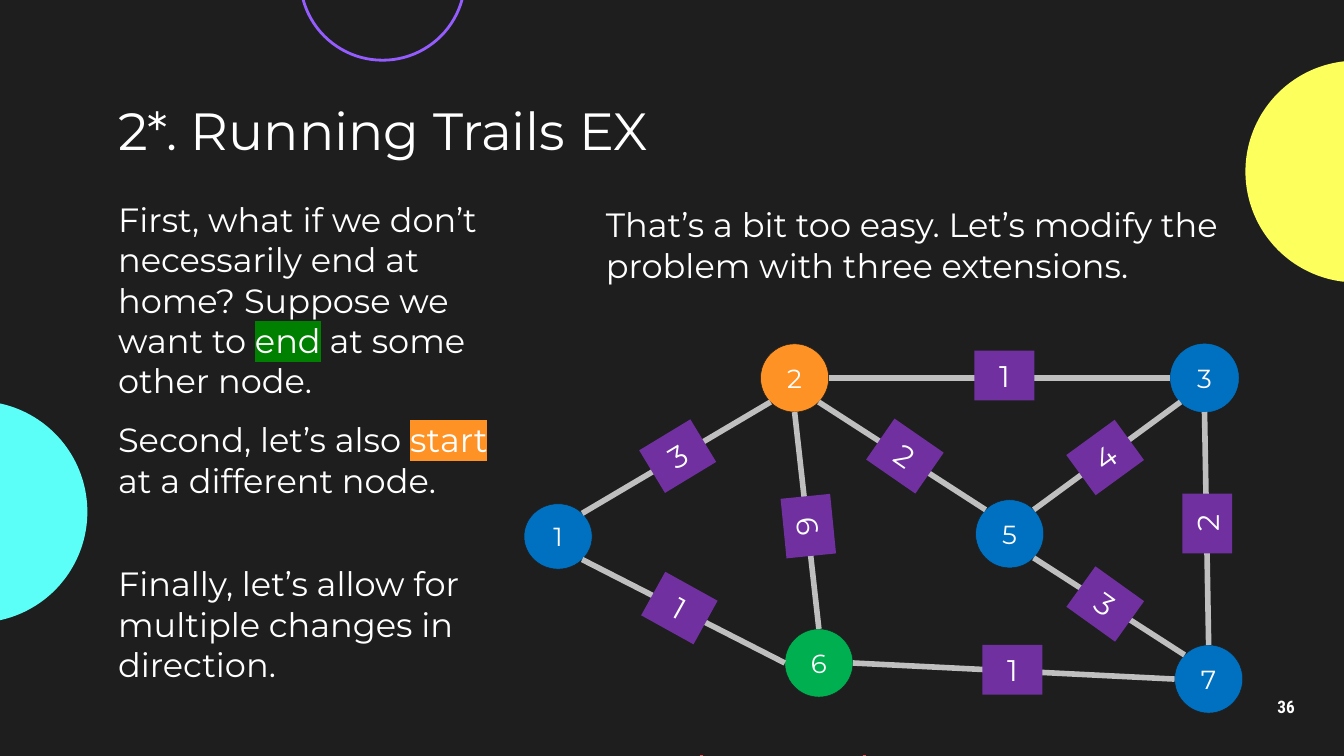
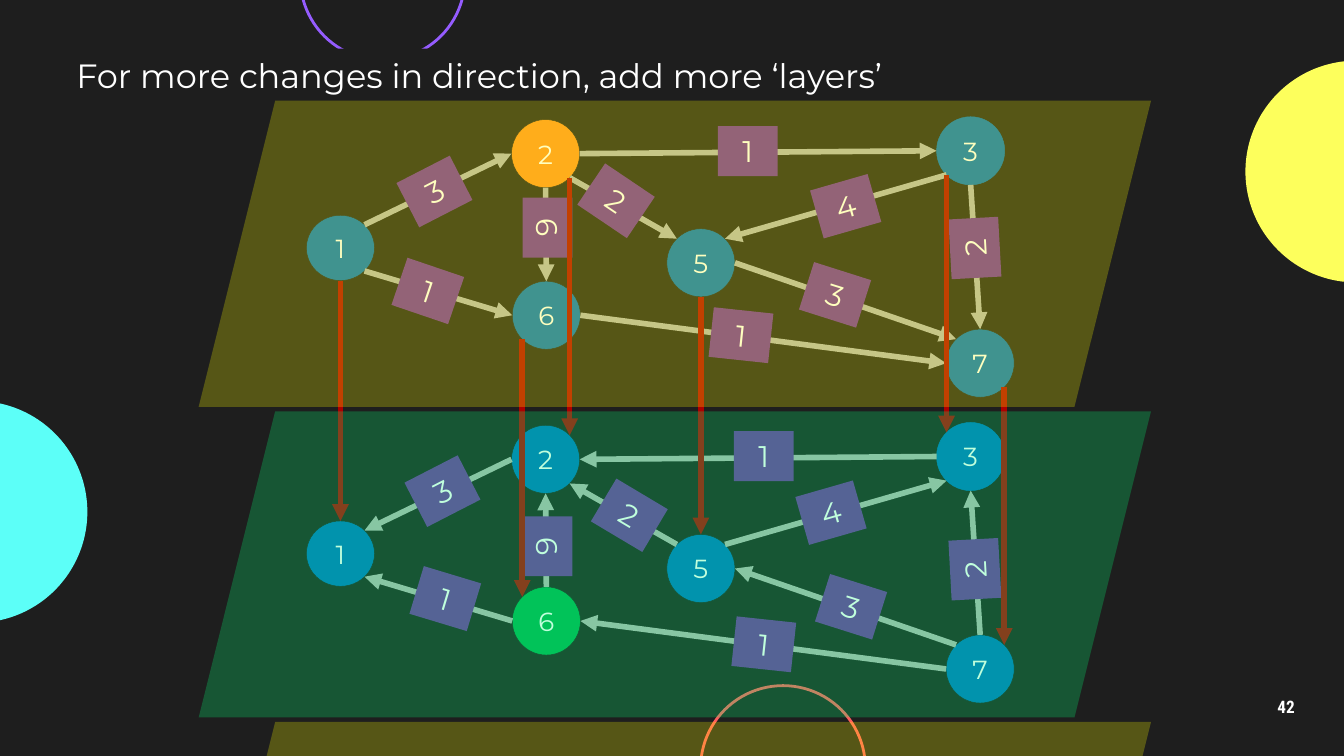
from dataclasses import dataclass
from enum import IntEnum
from math import cos, radians, sin
from typing import NamedTuple, Optional

from lxml import etree
from pptx import Presentation
from pptx.dml.color import RGBColor
from pptx.enum.shapes import MSO_CONNECTOR, MSO_SHAPE
from pptx.enum.text import MSO_ANCHOR, MSO_AUTO_SIZE, PP_ALIGN
from pptx.oxml.ns import qn
from pptx.util import Pt

OVAL, RECT, SLANT = MSO_SHAPE.OVAL, MSO_SHAPE.RECTANGLE, MSO_SHAPE.PARALLELOGRAM
STRAIGHT = MSO_CONNECTOR.STRAIGHT
LEFT, CENTER = PP_ALIGN.LEFT, PP_ALIGN.CENTER
TOP, MIDDLE = MSO_ANCHOR.TOP, MSO_ANCHOR.MIDDLE
FIXED, GROW = MSO_AUTO_SIZE.NONE, MSO_AUTO_SIZE.SHAPE_TO_FIT_TEXT


@dataclass(frozen=True)
class Theme:
    font: str = "Montserrat"
    number_font: str = "Roboto Condensed"
    back: str = "1E1E1E"
    text: str = "FFFFFF"
    cyan: str = "5CFFF8"
    yellow: str = "FDFF5C"
    violet: str = "955CFF"
    coral: str = "FF5C5C"
    node: str = "0070C0"
    start: str = "FF9225"
    end: str = "00B050"
    end_mark: str = "008000"
    weight: str = "7030A0"
    trail: str = "BFBFBF"
    arrow: str = "B3B3B3"
    descent: str = "AE0000"
    odd_layer: str = "FFFF00"
    even_layer: str = "05FF77"
    title_size: float = 28
    body_size: float = 18
    weight_size: float = 16
    node_size: float = 14
    number_size: float = 9.2


THEME = Theme()


class Box(NamedTuple):
    left: float
    top: float
    width: float
    height: float


class Run(NamedTuple):
    text: str
    highlight: Optional[str] = None


class Circle(NamedTuple):
    box: Box
    fill: Optional[str] = None
    line: Optional[str] = None


class Site(IntEnum):
    """Connection sites of an ellipse, counterclockwise from the top."""
    N = 0
    NW = 1
    W = 2
    SW = 3
    S = 4
    SE = 5
    E = 6
    NE = 7


class Edge(NamedTuple):
    tail: int
    tail_site: Site
    head: int
    head_site: Site
    weight: str


class Label(NamedTuple):
    x: float
    y: float
    turn: float = 0


class Node(NamedTuple):
    x: float
    y: float
    height: float = 36.5


NODE_WIDTH = 36.5
WEIGHT_WIDTH, WEIGHT_HEIGHT = 32.1, 26.7
LAYER_SHIFT = 163.8

DECOR = [
    Circle(Box(-72, 214.8, 118.8, 118.8), fill=THEME.cyan),
    Circle(Box(667.2, 32.5, 118.8, 118.8), fill=THEME.yellow),
    Circle(Box(160.8, -56, 88.3, 88.3), line=THEME.violet),
    Circle(Box(375.3, 367.3, 88.3, 88.3), line=THEME.coral),
]

# Every edge runs in the direction of the upper layer.
LAYER_EDGES = [
    Edge(1, Site.SE, 6, Site.W, "1"),
    Edge(2, Site.S, 6, Site.N, "6"),
    Edge(2, Site.SE, 5, Site.NW, "2"),
    Edge(2, Site.E, 3, Site.W, "1"),
    Edge(3, Site.SW, 5, Site.NE, "4"),
    Edge(3, Site.S, 7, Site.N, "2"),
    Edge(6, Site.E, 7, Site.W, "1"),
    Edge(5, Site.E, 7, Site.NW, "3"),
    Edge(1, Site.NE, 2, Site.W, "3"),
]
TRAIL_EDGES = LAYER_EDGES[:7] + [
    Edge(5, Site.SE, 7, Site.NW, "3"),
    Edge(1, Site.NE, 2, Site.SW, "3"),
]

TRAIL_NODES = {
    1: Node(299, 287.4, 35), 2: Node(425.7, 202.5), 3: Node(645.3, 202.5),
    5: Node(540.9, 286), 6: Node(438.7, 355.2), 7: Node(647.5, 363.8),
}
TRAIL_LABELS = [
    Label(364, 325.8, 29), Label(433, 281.9, 84.3), Label(484.8, 244.4, 34.7),
    Label(538.1, 201.2), Label(592.1, 245.1, 323.9), Label(646.8, 280.4, 270),
    Label(542.4, 358.9), Label(592.1, 323.6, 35.6), Label(363.1, 244.4, 328.8),
]

UPPER_NODES = {
    1: Node(182.4, 132.8, 35), 2: Node(292.3, 82.3), 3: Node(520, 80.8),
    5: Node(375.5, 140.8), 6: Node(292.7, 168.9), 7: Node(525.1, 194.6),
}
LOWER_NODES = {key: node._replace(y=node.y + LAYER_SHIFT)
               for key, node in UPPER_NODES.items()}
UPPER_LABELS = [
    Label(229.2, 155.9, 18.8), Label(293.3, 122, 90), Label(330, 107.6, 34),
    Label(400.6, 81), Label(453.1, 110.5, 344), Label(522.3, 132.8, 266.9),
    Label(397, 179.6, 6.1), Label(447.4, 158, 17.6), Label(232.8, 102.6, 332.8),
]
LOWER_LABELS = [
    Label(238.6, 320.7, 16.8), Label(293.3, 292.7, 90), Label(337.2, 276.1, 30.8),
    Label(409.2, 244.4), Label(445.2, 274.7, 344), Label(522.3, 304.9, 266.9),
    Label(409.2, 345.2, 6.1), Label(456, 325.1, 17.6), Label(237.1, 263.1, 332.8),
]
DESCENTS = {1: (Site.S, Site.N), 6: (Site.SW, Site.NW), 2: (Site.SE, Site.NE),
            5: (Site.S, Site.N), 7: (Site.SE, Site.NE), 3: (Site.SW, Site.NW)}


def rgb(color: str) -> RGBColor:
    return RGBColor.from_string(color)


def place(box: Box) -> tuple:
    return tuple(Pt(length) for length in box)


def write(shape, runs: list[Run], size: float, font: str = THEME.font,
          bold: bool = False, align=LEFT, spacing: Optional[float] = None,
          **frame_format) -> None:
    frame = shape.text_frame
    for name, value in frame_format.items():
        setattr(frame, name, value)
    paragraph = frame.paragraphs[0]
    paragraph.alignment = align
    paragraph.line_spacing = spacing
    for piece in runs:
        run = paragraph.add_run()
        run.text = piece.text
        for name, value in {"size": Pt(size), "name": font, "bold": bold}.items():
            setattr(run.font, name, value)
        run.font.color.rgb = rgb(THEME.text)
        if piece.highlight:
            mark = etree.Element(qn("a:highlight"))
            etree.SubElement(mark, qn("a:srgbClr"), val=piece.highlight)
            run.font.fill  # the highlight stands between the fill and the typeface
            run.font._element.find(qn("a:latin")).addprevious(mark)


def add_text(slide, box: Box, runs: list[Run], size: float, **text_format) -> None:
    margins = {f"margin_{side}": Pt(7.2) for side in ("left", "right", "top", "bottom")}
    write(slide.shapes.add_textbox(*place(box)), runs, size, word_wrap=True,
          auto_size=FIXED, **margins, **text_format)


def add_figure(slide, kind, box: Box, fill: Optional[str] = None,
               line: Optional[str] = None, line_width: float = 1.5,
               opacity: Optional[int] = None):
    figure = slide.shapes.add_shape(kind, *place(box))
    figure.shadow.inherit = False
    if fill:
        figure.fill.solid()
        figure.fill.fore_color.rgb = rgb(fill)
    else:
        figure.fill.background()
    if line:
        figure.line.color.rgb = rgb(line)
        figure.line.width = Pt(line_width)
    else:
        figure.line.fill.background()
    if opacity is not None:
        color = figure._element.spPr.find(f"{qn('a:solidFill')}/{qn('a:srgbClr')}")
        etree.SubElement(color, qn("a:alpha"), val=str(opacity * 1000))
    return figure


def site_point(node: Node, site: Site) -> tuple:
    angle = radians(90 + 45 * site)
    return (Pt(node.x + NODE_WIDTH / 2 * cos(angle)),
            Pt(node.y - node.height / 2 * sin(angle)))


def add_link(slide, tail: Node, tail_oval, tail_site: Site, head: Node, head_oval,
             head_site: Site, color: str, arrow: bool) -> None:
    """Join two ellipses at their eight-way connection sites."""
    link = slide.shapes.add_connector(
        STRAIGHT, *site_point(tail, tail_site), *site_point(head, head_site))
    link.line.color.rgb = rgb(color)
    link.line.width = Pt(3)
    if arrow:
        etree.SubElement(link.line._ln, qn("a:tailEnd"), type="triangle")
    etree.SubElement(link._element.spPr, qn("a:effectLst"))
    joints = link._element.find(f"{qn('p:nvCxnSpPr')}/{qn('p:cNvCxnSpPr')}")
    for tag, oval, site in (("a:stCxn", tail_oval, tail_site),
                            ("a:endCxn", head_oval, head_site)):
        etree.SubElement(joints, qn(tag), id=str(oval.shape_id), idx=str(int(site)))


def add_graph(slide, nodes: dict[int, Node], edges: list[Edge], labels: list[Label],
              special: dict[int, str], color: str, arrow: bool = False) -> dict:
    """Draw nodes, edges and weights; return the ellipses by node number."""
    ovals = {}
    for key, node in nodes.items():
        box = Box(node.x - NODE_WIDTH / 2, node.y - node.height / 2,
                  NODE_WIDTH, node.height)
        outline = THEME.node if key == 3 else THEME.back
        ovals[key] = add_figure(slide, OVAL, box, special.get(key, THEME.node),
                                outline, 0.25)
        write(ovals[key], [Run(str(key))], THEME.node_size, align=CENTER,
              vertical_anchor=MIDDLE)
    for edge in edges:
        add_link(slide, nodes[edge.tail], ovals[edge.tail], edge.tail_site,
                 nodes[edge.head], ovals[edge.head], edge.head_site, color, arrow)
    for edge, label in zip(edges, labels):
        box = Box(label.x - WEIGHT_WIDTH / 2, label.y - WEIGHT_HEIGHT / 2,
                  WEIGHT_WIDTH, WEIGHT_HEIGHT)
        weight = add_figure(slide, RECT, box, THEME.weight)
        weight.rotation = label.turn
        write(weight, [Run(edge.weight)], THEME.weight_size, align=CENTER,
              vertical_anchor=TOP, word_wrap=True, auto_size=GROW)
    return ovals


def start_slide(deck, number: str):
    slide = deck.slides.add_slide(deck.slide_layouts[6])
    for circle in DECOR:
        add_figure(slide, OVAL, circle.box, circle.fill, circle.line)
    add_text(slide, Box(667.4, 367.2, 43.2, 24.5), [Run(number)], THEME.number_size,
             font=THEME.number_font, bold=True, align=CENTER, spacing=0.9,
             vertical_anchor=MIDDLE)
    return slide


def build_trails(deck) -> None:
    slide = start_slide(deck, "36")
    add_figure(slide, RECT, Box(349.2, 347, 135.4, 57.6), THEME.back)
    add_text(slide, Box(56.2, 51.1, 607.7, 36.7), [Run("2*. Running Trails EX")],
             THEME.title_size, vertical_anchor=MIDDLE)
    add_graph(slide, TRAIL_NODES, TRAIL_EDGES, TRAIL_LABELS,
              {2: THEME.start, 6: THEME.end}, THEME.trail)
    passages = [
        (Box(317.5, 102.2, 351.4, 36), [Run(
            "That’s a bit too easy. Let’s modify the problem with three extensions.")]),
        (Box(56.2, 99.4, 218.2, 115.9), [
            Run("First, what if we don’t necessarily end at home? Suppose we want to "),
            Run("end", THEME.end_mark), Run(" at some other node.")]),
        (Box(56.2, 217.4, 218.2, 79.9), [
            Run("Second, let’s also "), Run("start", THEME.start),
            Run(" at a different node.")]),
        (Box(56.2, 294.5, 218.2, 79.9), [
            Run("Finally, let’s allow for multiple changes in direction.")]),
    ]
    for box, runs in passages:
        add_text(slide, box, runs, THEME.body_size)


def build_layers(deck) -> None:
    slide = start_slide(deck, "42")
    heading = add_figure(slide, RECT, Box(33.8, 26, 473.8, 29.1), THEME.back)
    write(heading, [Run("For more changes in direction, add more ‘layers’")],
          THEME.body_size, vertical_anchor=TOP, word_wrap=False, auto_size=GROW)
    upper = add_graph(slide, UPPER_NODES, LAYER_EDGES, UPPER_LABELS,
                      {2: THEME.start}, THEME.arrow, arrow=True)
    reversed_edges = [Edge(edge.head, edge.head_site, edge.tail, edge.tail_site,
                           edge.weight) for edge in LAYER_EDGES]
    lower = add_graph(slide, LOWER_NODES, reversed_edges, LOWER_LABELS,
                      {6: THEME.end}, THEME.arrow, arrow=True)
    for key, (leave, arrive) in DESCENTS.items():
        add_link(slide, UPPER_NODES[key], upper[key], leave,
                 LOWER_NODES[key], lower[key], arrive, THEME.descent, arrow=True)
    for level, color in enumerate((THEME.odd_layer, THEME.even_layer, THEME.odd_layer)):
        add_figure(slide, SLANT, Box(106.4, 54 + 166.4 * level, 510.2, 164), color,
                   opacity=25)


def main() -> None:
    deck = Presentation()
    deck.slide_width, deck.slide_height = Pt(720), Pt(405)
    backdrop = deck.slide_master.background.fill
    backdrop.solid()
    backdrop.fore_color.rgb = rgb(THEME.back)
    build_trails(deck)
    build_layers(deck)
    deck.save("out.pptx")


if __name__ == "__main__":
    main()
